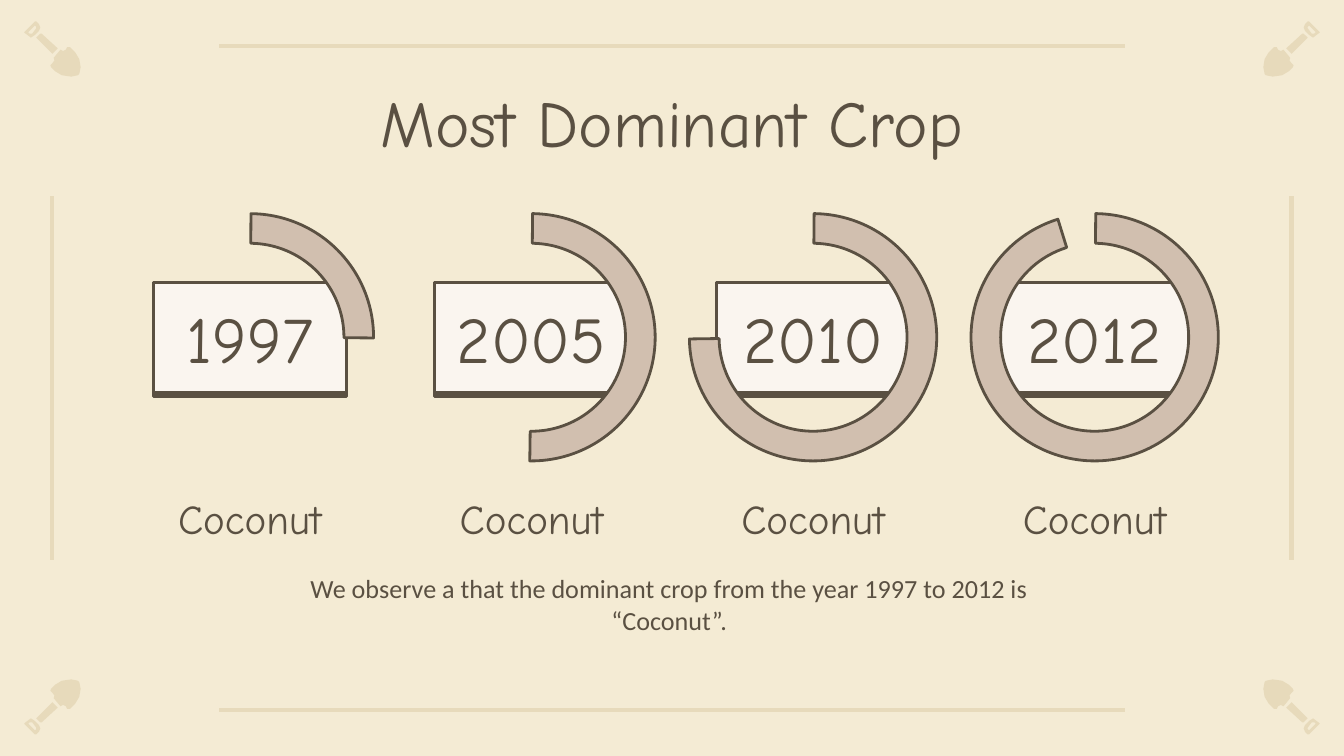
from itertools import product

from lxml import etree
from pptx import Presentation
from pptx.dml.color import RGBColor
from pptx.enum.shapes import MSO_CONNECTOR as Connector, MSO_SHAPE as Shape
from pptx.enum.text import MSO_ANCHOR as Anchor, MSO_AUTO_SIZE as AutoSize, PP_ALIGN as Align
from pptx.oxml import parse_xml
from pptx.oxml.ns import nsdecls, qn
from pptx.util import Emu, Pt

PX = 4572
WIDTH, HEIGHT = 2000, 1125
CREAM, SAND, IVORY, CLAY, BROWN = "F4EBD4", "E7DABB", "FAF5EF", "D1BFAF", "5A5042"
DISPLAY, BODY = "Comic Neue", "Calibri"

BLADE = [(102, 70), (104, 70), (112, 78), (118, 88), (120, 100), (118, 110), (116, 112),
         (106, 114), (92, 112), (82, 106), (76, 100), (75, 97), (78, 94), (81, 90),
         (80, 86), (90, 74), (94, 76), (98, 74), (100, 70)]
SHAFT = [(62, 50), (86, 72), (78, 80), (54, 56), (60, 50)]
GRIP = [(52, 32), (54, 32), (58, 36), (60, 41), (58, 46), (52, 52), (46, 56), (42, 53),
        (38, 50), (36, 48), (38, 46)]
GRIP_HOLE = [(52, 38), (42, 48), (44, 50), (48, 50), (54, 42), (54, 40)]
SHOVEL = [[BLADE], [SHAFT], [GRIP, GRIP_HOLE]]

CROPS = [("1997", "Coconut", 179.7), ("2005", "Coconut", 89.2),
         ("2010", "Coconut", 0.78), ("2012", "Coconut", 287.3)]


def px(value):
    """Turn px into EMU."""
    return Emu(value * PX)


def color(code):
    """Turn a hex string into a colour."""
    return RGBColor.from_string(code)


def place(item, box):
    """Move an object to a box of left, top, width and height."""
    item.left, item.top, item.width, item.height = map(px, box)


def write(item, text, size, font, anchor=Anchor.TOP, after=0):
    """Write one centred paragraph into an object."""
    frame = item.text_frame
    frame.word_wrap = True
    frame.auto_size = AutoSize.NONE
    frame.vertical_anchor = anchor
    frame.margin_left = frame.margin_right = frame.margin_top = frame.margin_bottom = px(20)
    para = frame.paragraphs[0]
    para.text = text
    para.alignment = Align.CENTER
    para.space_before, para.space_after = Pt(0), Pt(after)
    para.font.size, para.font.name, para.font.bold = Pt(size), font, False
    para.font.color.rgb = color(BROWN)


def add_outlined(page, kind, box, fill):
    """Add a filled preset shape with a brown outline."""
    shape = page.shapes.add_shape(kind, *map(px, box))
    shape.shadow.inherit = False
    shape.fill.solid()
    shape.fill.fore_color.rgb = color(fill)
    shape.line.color.rgb = color(BROWN)
    shape.line.width = Pt(1.5)
    return shape


def add_hard_shadow(shape):
    """Add a solid brown shadow straight below a shape."""
    effects = shape.element.spPr.find(qn("a:effectLst"))
    effects.append(parse_xml(
        f'<a:outerShdw {nsdecls("a")} dist="28575" dir="5400000" algn="bl" rotWithShape="0">'
        f'<a:srgbClr val="{BROWN}"/></a:outerShdw>'))


def add_rule(page, start, end):
    """Add one sand-coloured border line."""
    rule = page.shapes.add_connector(Connector.STRAIGHT, *map(px, start + end))
    rule.line.color.rgb = color(SAND)
    rule.line.width = Pt(2.25)
    etree.SubElement(rule.element.spPr, qn("a:effectLst"))


def add_shovel(page, box, right, bottom):
    """Add a corner shovel, mirrored to the right or bottom of the box."""
    left, top, width, height = box

    def mirrored(point):
        """Mirror a point within the box."""
        x, y = point
        return left + (width - x if right else x), top + (height - y if bottom else y)

    for contours in SHOVEL:
        first, *others = [[mirrored(point) for point in contour] for contour in contours]
        builder = page.shapes.build_freeform(*first[0], scale=PX)
        builder.add_line_segments(first[1:], close=True)
        for contour in others:
            builder.move_to(*contour[0])
            builder.add_line_segments(contour[1:], close=True)
        part = builder.convert_to_shape()
        part.shadow.inherit = False
        part.fill.solid()
        part.fill.fore_color.rgb = color(SAND)
        part.line.fill.background()


def add_border(page, box):
    """Add the four rules and four corner shovels within the box."""
    left, top, width, height = box
    for x in (left + 78, left + width - 78):
        add_rule(page, (x, top + 292), (x, top + 834))
    for y in (top + 68, top + height - 68):
        add_rule(page, (left + 326, y), (left + width - 326, y))
    for right, bottom in product((False, True), repeat=2):
        add_shovel(page, box, right, bottom)


def add_crop(page, box, year, crop, angle):
    """Add a year card, its arc and its crop label within the box."""
    left, top, width, height = box
    card = add_outlined(page, Shape.RECTANGLE, (left + 52, top + 102, width - 104, 164), IVORY)
    add_hard_shadow(card)
    write(card, year, 35, DISPLAY, Anchor.MIDDLE)

    arc = add_outlined(page, Shape.BLOCK_ARC, (left + 12, top, 368, 368), CLAY)
    arc.element.spPr.xfrm.set("flipH", "1")
    for index, value in enumerate((angle * 0.6, 161.7, 0.12)):
        arc.adjustments[index] = value

    label = page.shapes.add_textbox(*map(px, (left, top + height - 100, width, 100)))
    write(label, crop, 22, DISPLAY, Anchor.BOTTOM, after=12)


def add_crop_page(deck):
    """Add the page with the dominant crop of each year."""
    page = deck.slides.add_slide(deck.slide_layouts[0])
    page.background.fill.solid()
    page.background.fill.fore_color.rgb = color(CREAM)
    add_border(page, (0, 0, WIDTH, HEIGHT))

    title, caption = page.placeholders
    place(title, (156, 102, 1688, 136))
    write(title, "Most Dominant Crop", 35, DISPLAY)
    place(caption, (382, 832, 1228, 112))
    write(caption, "We observe a that the dominant crop from the year 1997 to 2012 is “Coconut”.",
          14, BODY, after=12)

    for column, (year, crop, angle) in enumerate(CROPS):
        add_crop(page, (176 + 419 * column, 318, 392, 510), year, crop, angle)


def main():
    """Build and save the deck."""
    deck = Presentation()
    deck.slide_width, deck.slide_height = px(WIDTH), px(HEIGHT)
    add_crop_page(deck)
    deck.save("out.pptx")


if __name__ == "__main__":
    main()
